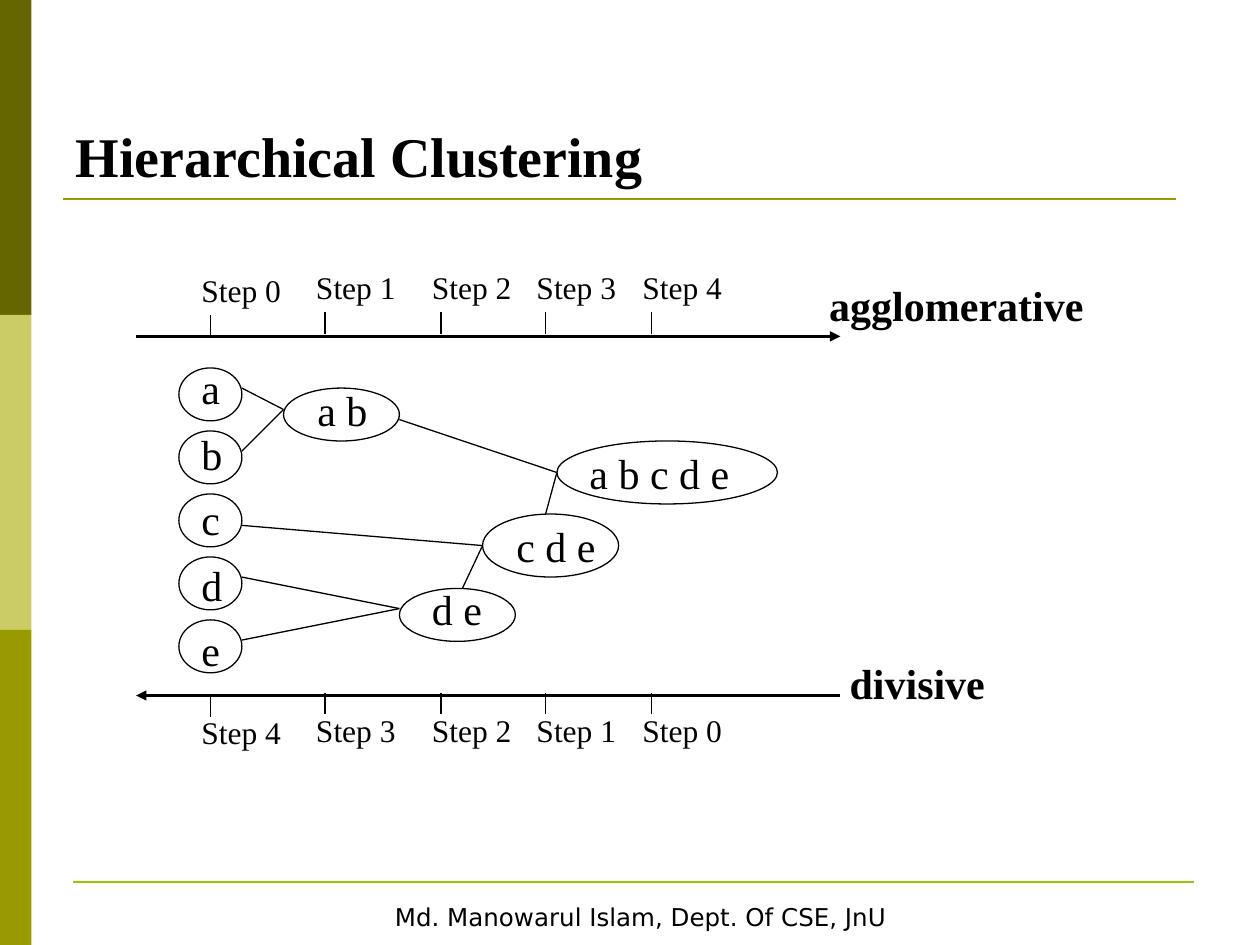
import pptx
import pptx.util
import pptx.dml.color
import pptx.enum.shapes
import pptx.enum.text
import pptx.oxml.ns
from lxml import etree

Inches = pptx.util.Inches
SHAPE = pptx.enum.shapes.MSO_SHAPE
ALIGN = pptx.enum.text.PP_ALIGN
ANCHOR = pptx.enum.text.MSO_ANCHOR

THEME = {
    "serif": "Times New Roman", "sans": "DejaVu Sans",
    "ink": "000000", "paper": "FFFFFF", "rule": "999900", "foot": "96C800",
    "bars": ["666600", "CCCC66", "999900"],
    "title": 32, "node": 24, "step": 18, "note": 14,
    "thin": 0.75, "thick": 1.5,
}

TITLE = "Hierarchical Clustering"
FOOTER = "Md. Manowarul Islam, Dept. Of CSE, JnU"
TICKS = [1.67, 2.58, 3.5, 4.33, 5.17]
# axis y, tick top of the first step, label top of the first step, step order
AXES = [
    {"y": 2.67, "tick": 2.5, "label": 2.1, "steps": range(5), "end": "tailEnd"},
    {"y": 5.52, "tick": 5.52, "label": 5.61, "steps": range(4, -1, -1), "end": "headEnd"},
]
MODES = [("agglomerative", 6.47, 2.17, 2.24), ("divisive", 6.64, 5.17, 1.28)]
LEAVES = "abcde"
# text, ellipse (left, top, width, height), text (left, top, width)
GROUPS = [
    ("a b", (2.25, 3.08, 0.92, 0.42), (2.42, 3, 0.6)),
    ("d e", (3.17, 4.67, 0.92, 0.42), (3.33, 4.58, 0.6)),
    ("c d e", (3.83, 4.08, 1.08, 0.5), (4, 4.08, 0.83)),
    ("a b c d e", (4.42, 3.5, 1.75, 0.5), (4.58, 3.5, 1.31)),
]
LINKS = [
    (1.92, 3.08, 2.25, 3.25), (1.92, 3.58, 2.25, 3.25),
    (1.92, 4.58, 3.17, 4.83), (1.92, 5.08, 3.17, 4.83),
    (1.92, 4.17, 3.83, 4.33), (3.67, 4.67, 3.83, 4.33),
    (3.17, 3.33, 4.42, 3.75), (4.33, 4.08, 4.42, 3.75),
]


def color(name):
    return pptx.dml.color.RGBColor.from_string(THEME.get(name, name))


def write(frame, text, size="node", font="serif", bold=False,
          align=ALIGN.LEFT, anchor=ANCHOR.TOP, wrap=False):
    frame.word_wrap = wrap
    frame.vertical_anchor = anchor
    para = frame.paragraphs[0]
    para.text = text
    para.alignment = align
    para.font.size = pptx.util.Pt(THEME[size])
    para.font.name = THEME[font]
    para.font.bold = bold
    para.font.color.rgb = color("ink")


def label(slide, text, x, y, w, h, **style):
    box = slide.shapes.add_textbox(*map(Inches, (x, y, w, h)))
    write(box.text_frame, text, **style)


def shape(slide, kind, area, fill=None, line=None):
    item = slide.shapes.add_shape(kind, *map(Inches, area))
    item.shadow.inherit = False
    if fill:
        item.fill.solid()
        item.fill.fore_color.rgb = color(fill)
    else:
        item.fill.background()
    if line:
        item.line.color.rgb = color(line)
        item.line.width = pptx.util.Pt(THEME["thin"])
    else:
        item.line.fill.background()
    return item


def rule(slide, ends, tint="ink", width="thin", arrow=None):
    """Draw a straight line; arrow is headEnd or tailEnd."""
    kind = pptx.enum.shapes.MSO_CONNECTOR.STRAIGHT
    item = slide.shapes.add_connector(kind, *map(Inches, ends))
    item.line.color.rgb = color(tint)
    item.line.width = pptx.util.Pt(THEME[width])
    qn = pptx.oxml.ns.qn
    if arrow:
        etree.SubElement(item.line._get_or_add_ln(), qn("a:" + arrow), type="triangle")
    etree.SubElement(item._element.spPr, qn("a:effectLst"))


def frame(slide):
    """Draw the side bars, the rules, the footer and the title."""
    for i, tint in enumerate(THEME["bars"]):
        shape(slide, SHAPE.RECTANGLE, (0, 2.5 * i, 0.25, 2.5), tint)
    rule(slide, (0.5, 1.58, 9.33, 1.58), "rule", "thick")
    rule(slide, (0.58, 7, 9.48, 7), "foot", "thick")
    foot = shape(slide, SHAPE.RECTANGLE, (0.5, 7.1, 9.17, 0.35), "paper", "paper")
    write(foot.text_frame, FOOTER, size="note", font="sans",
          align=ALIGN.CENTER, anchor=ANCHOR.MIDDLE)
    title = slide.shapes.title
    title.left, title.top, title.width, title.height = map(Inches, (0.5, 0.3, 9, 1.25))
    write(title.text_frame, TITLE, size="title", bold=True,
          anchor=ANCHOR.BOTTOM, wrap=True)


def axis(slide, data):
    rule(slide, (1.08, data["y"], 6.67, data["y"]), width="thick", arrow=data["end"])
    for i, (x, step) in enumerate(zip(TICKS, data["steps"])):
        lift = 0.02 if i else 0
        top = data["tick"] - lift
        rule(slide, (x, top, x, top + 0.17))
        label(slide, f"Step {step}", x - 0.17, data["label"] - lift, 0.83, 0.4,
              size="step", wrap=True)


def tree(slide):
    for i, name in enumerate(LEAVES):
        label(slide, name, 1.5, 2.83 + 0.52 * i, 0.36, 0.5)
        shape(slide, SHAPE.OVAL, (1.42, 2.92 + 0.5 * i, 0.5, 0.42), line="ink")
    for name, area, (x, y, w) in GROUPS:
        label(slide, name, x, y, w, 0.5)
        shape(slide, SHAPE.OVAL, area, line="ink")
    for ends in LINKS:
        rule(slide, ends)


def main():
    deck = pptx.Presentation()
    deck.slide_width, deck.slide_height = Inches(10), Inches(7.5)
    slide = deck.slides.add_slide(deck.slide_layouts[5])
    frame(slide)
    for data in AXES:
        axis(slide, data)
    tree(slide)
    for name, x, y, w in MODES:
        label(slide, name, x, y, w, 0.51, bold=True, align=ALIGN.CENTER)
    deck.save("out.pptx")


if __name__ == "__main__":
    main()
